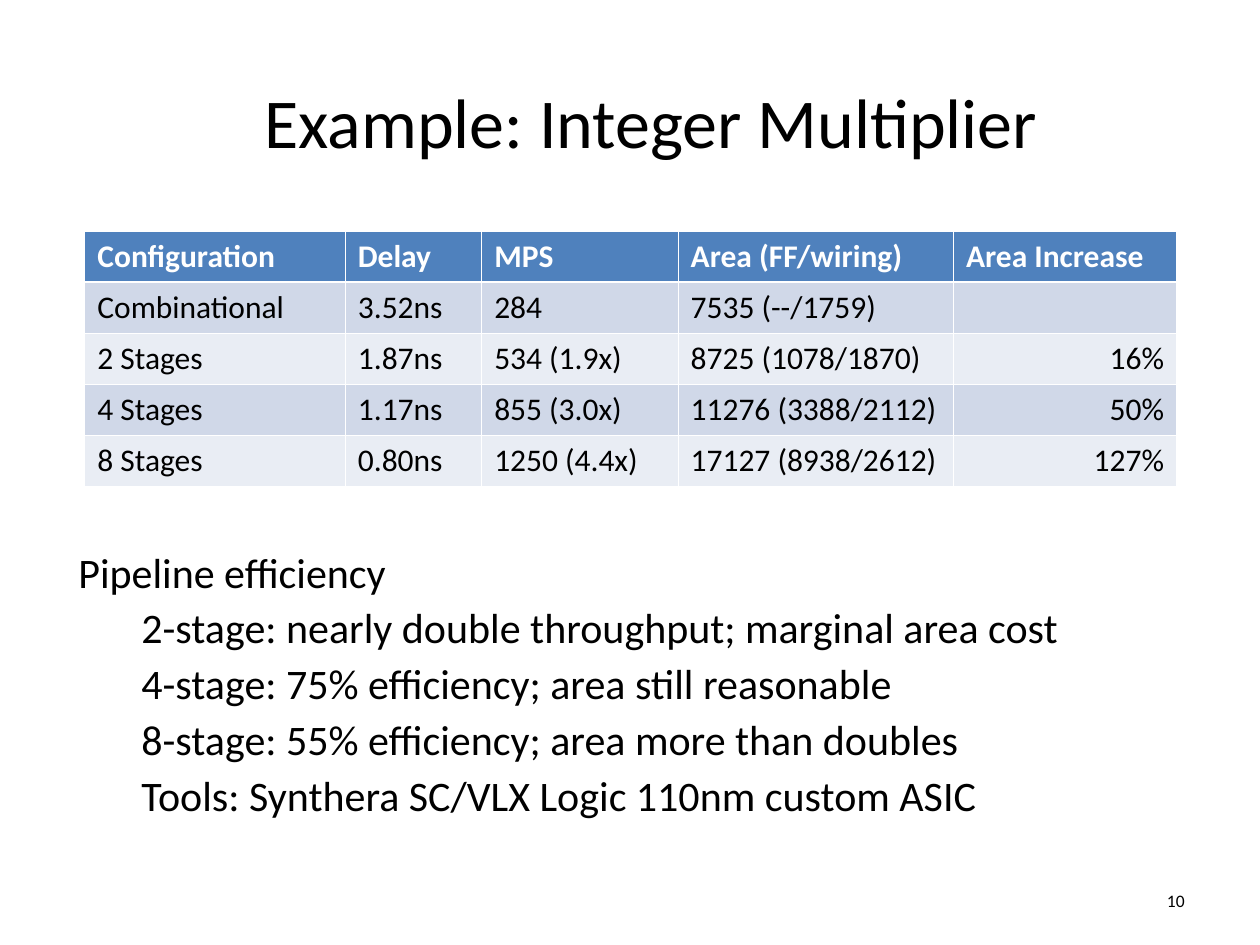
from lxml.etree import SubElement
from pptx import Presentation
from pptx.dml.color import RGBColor
from pptx.enum.text import MSO_ANCHOR as Anchor, PP_ALIGN as Align
from pptx.oxml.ns import qn
from pptx.util import Cm, Pt


def color(hex_code):
    return RGBColor.from_string(hex_code)


def add_text(paragraph, text, size, hex_code="000000", bold=False):
    run = paragraph.add_run()
    run.text = text
    run.font.name = "Calibri"
    run.font.size = Pt(size)
    run.font.bold = bold
    run.font.color.rgb = color(hex_code)


prs = Presentation()
prs.slide_width, prs.slide_height = Cm(25.4), Cm(19.05)
slide = prs.slides.add_slide(prs.slide_layouts[6])

# Title
title = slide.shapes.add_textbox(Cm(1.9), Cm(1.48), Cm(22.45), Cm(1.9)).text_frame
title.word_wrap = True
title.vertical_anchor = Anchor.MIDDLE
title.paragraphs[0].alignment = Align.CENTER
add_text(title.paragraphs[0], "Example: Integer Multiplier", 40)

# Multiplier table
results = [
    ["Configuration", "Delay", "MPS", "Area (FF/wiring)", "Area Increase"],
    ["Combinational", "3.52ns", "284", "7535 (--/1759)", ""],
    ["2 Stages", "1.87ns", "534 (1.9x)", "8725 (1078/1870)", "16%"],
    ["4 Stages", "1.17ns", "855 (3.0x)", "11276 (3388/2112)", "50%"],
    ["8 Stages", "0.80ns", "1250 (4.4x)", "17127 (8938/2612)", "127%"],
]
widths = [5.25, 2.75, 3.96, 5.55, 4.5]
row_height = 1.03
multiplier = slide.shapes.add_table(
    len(results), len(widths), Cm(1.71), Cm(4.66),
    Cm(sum(widths)), Cm(row_height * len(results))).table
for column, width in zip(multiplier.columns, widths):
    column.width = Cm(width)

for r, values in enumerate(results):
    multiplier.rows[r].height = Cm(row_height)
    header = r == 0
    fill = "4F81BD" if header else ("E9EDF4", "D0D8E8")[r % 2]
    for c, value in enumerate(values):
        cell = multiplier.cell(r, c)
        # White rules, heavier between header and body
        for side in ("L", "R", "T", "B"):
            heavy = (r, side) in ((0, "B"), (1, "T"))
            rule = SubElement(cell._tc.get_or_add_tcPr(), qn(f"a:ln{side}"),
                              w=str(Pt(1.47 if heavy else 0.45)))
            SubElement(SubElement(rule, qn("a:solidFill")), qn("a:srgbClr"), val="FFFFFF")
        cell.fill.solid()
        cell.fill.fore_color.rgb = color(fill)
        entry = cell.text_frame.paragraphs[0]
        if c == 4 and not header:
            entry.alignment = Align.RIGHT
        if value:
            add_text(entry, value, 18, "FFFFFF" if header else "000000", header)

# Slide number
number = slide.shapes.add_textbox(Cm(21.16), Cm(17.65), Cm(2.97), Cm(1.02)).text_frame
number.word_wrap = True
number.vertical_anchor = Anchor.MIDDLE
number.paragraphs[0].alignment = Align.RIGHT
add_text(number.paragraphs[0], "10", 10)

# Pipeline efficiency notes
efficiency = slide.shapes.add_textbox(Cm(1.07), Cm(11), Cm(22.43), Cm(7.19)).text_frame
efficiency.word_wrap = True
efficiency.margin_left = efficiency.margin_right = Cm(0.51)
notes = [
    "Pipeline efficiency",
    "2-stage: nearly double throughput; marginal area cost",
    "4-stage: 75% efficiency; area still reasonable",
    "8-stage: 55% efficiency; area more than doubles",
    "Tools: Synthera SC/VLX Logic 110nm custom ASIC",
]
for i, note in enumerate(notes):
    line = efficiency.add_paragraph() if i else efficiency.paragraphs[0]
    line.line_spacing = 0.9
    if i:
        line.space_before = Pt(6)
        line.level = 1
        line._p.get_or_add_pPr().set("marL", str(Cm(1.27)))
        line._p.get_or_add_pPr().set("indent", "0")
    add_text(line, note, 24)

prs.save("out.pptx")
